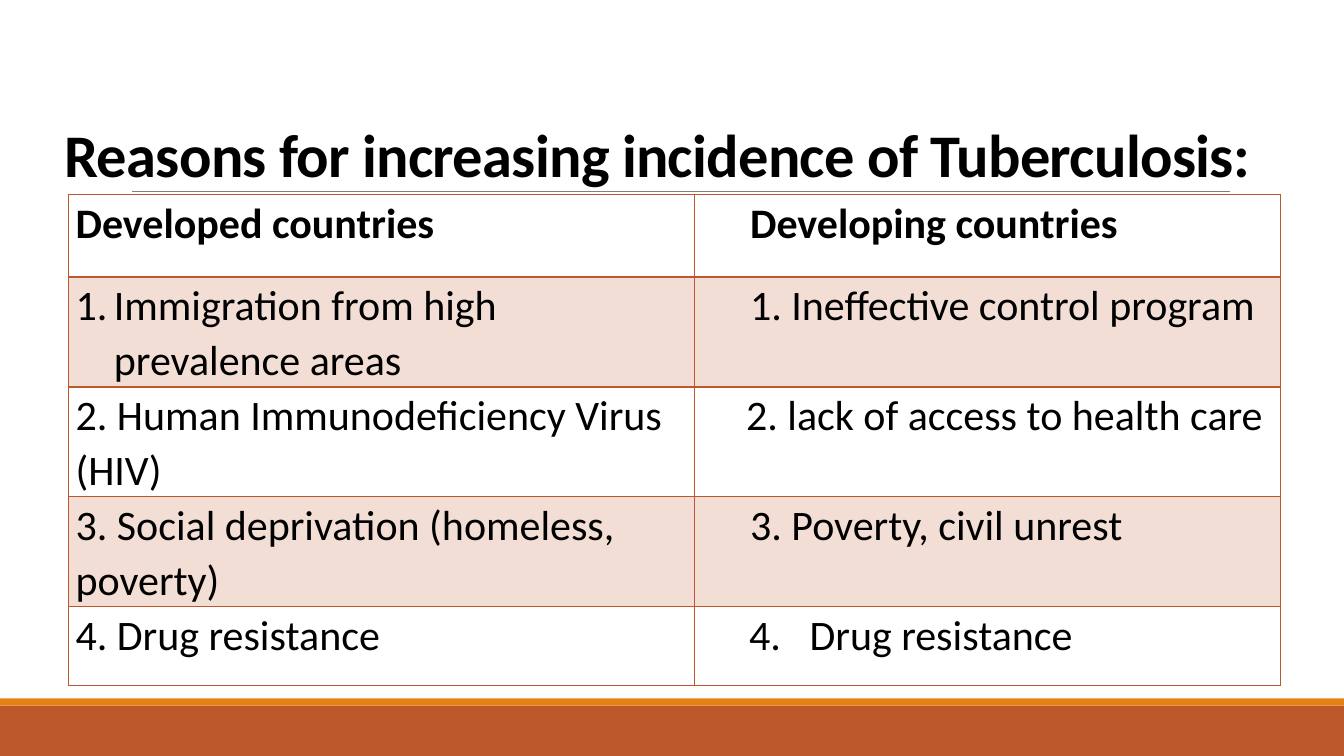
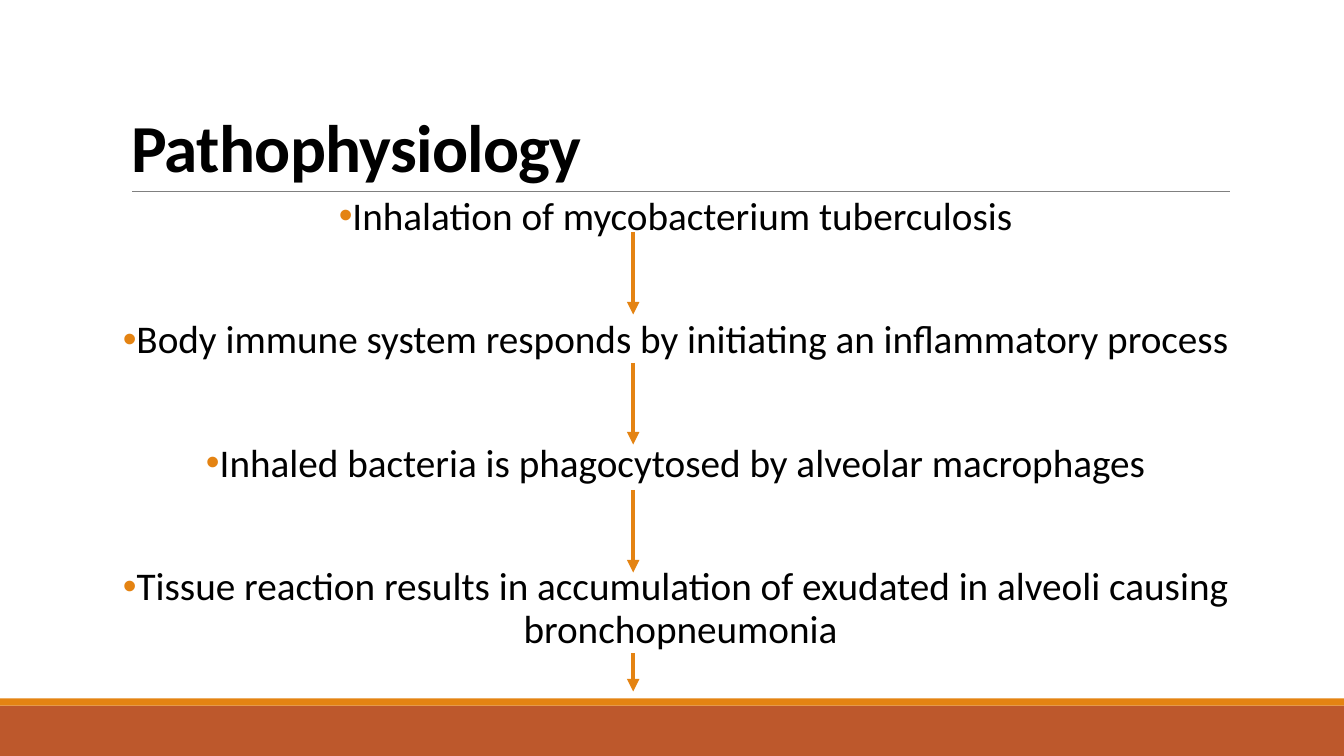
import dataclasses

import lxml.etree
import pptx
import pptx.dml.color
import pptx.enum.shapes
import pptx.enum.text
import pptx.oxml.ns
import pptx.util

Inches = pptx.util.Inches
Align = pptx.enum.text.PP_ALIGN
Anchor = pptx.enum.text.MSO_ANCHOR


@dataclasses.dataclass(frozen=True)
class Theme:
    """Colours, fonts and type sizes of the deck."""
    font: str = "Calibri"
    bullet_font: str = "Arial"
    ink: str = "000000"
    rust: str = "BD582C"
    orange: str = "E48312"
    blush: str = "F2DED5"
    rule: str = "808080"
    title: float = 48
    long_title: float = 43.2
    table: float = 30
    body: float = 28


THEME = Theme()

COUNTRY_ROWS = [
    ("Developed countries", "Developing countries"),
    ("Immigration from high prevalence areas", "1. Ineffective control program"),
    ("2. Human Immunodeficiency Virus (HIV)", "2. lack of access to health care"),
    ("3. Social deprivation (homeless, poverty)", "3. Poverty, civil unrest"),
    ("4. Drug resistance", "4.\tDrug resistance"),
]
CELL_INDENTS = {(1, 0): (0.38, -0.38), (2, 1): (0.44, 0), (4, 1): (1.07, -0.6)}
COLUMN_INDENTS = [(0, 0), (0.48, 0)]

DISEASE_STEPS = [
    "Inhalation of mycobacterium tuberculosis",
    "Body immune system responds by initiating an inflammatory process",
    "Inhaled bacteria is phagocytosed by alveolar macrophages",
    "Tissue reaction results in accumulation of exudated in alveoli causing bronchopneumonia",
]
ARROW_SPANS = [(0.4, 1.22), (1.7, 2.51), (2.96, 3.78), (4.58, 4.96)]


def colour(value):
    """Return the colour object of a hex value."""
    return pptx.dml.color.RGBColor.from_string(value)


def add_xml(parent, tag, **attributes):
    """Append a child element and return it."""
    return lxml.etree.SubElement(parent, pptx.oxml.ns.qn(tag), attributes)


def write_text(para, text, *, size, bold=False, align=Align.LEFT, line=1.0,
               before=0, after=0, indent=(0, 0), bullet=None, number=None, tracking=0):
    """Fill a paragraph with one formatted run."""
    para.alignment = align
    para.line_spacing = line
    para.space_before = pptx.util.Pt(before)
    para.space_after = pptx.util.Pt(after)
    properties = para._p.get_or_add_pPr()
    properties.set("marL", str(Inches(indent[0])))
    properties.set("indent", str(Inches(indent[1])))
    if bullet:
        add_xml(add_xml(properties, "a:buClr"), "a:srgbClr", val=THEME.orange)
        add_xml(properties, "a:buFont", typeface=THEME.bullet_font)
        add_xml(properties, "a:buChar", char=bullet)
    elif number:
        add_xml(properties, "a:buFont", typeface=THEME.font)
        add_xml(properties, "a:buAutoNum", type=number)
    span = para.add_run()
    span.text = text
    span.font.name = THEME.font
    span.font.size = pptx.util.Pt(size)
    span.font.bold = bold
    span.font.color.rgb = colour(THEME.ink)
    if tracking:
        span._r.get_or_add_rPr().set("spc", str(round(tracking * 100)))


def add_line(page, start, end, *, ink, width, arrow=False):
    """Draw a straight line, with an arrowhead at its end if asked."""
    line = page.shapes.add_connector(
        pptx.enum.shapes.MSO_CONNECTOR.STRAIGHT,
        *(Inches(length) for length in (*start, *end)))
    line.line.color.rgb = colour(ink)
    line.line.width = pptx.util.Pt(width)
    if arrow:
        add_xml(line.line._get_or_add_ln(), "a:tailEnd", type="triangle")
    add_xml(line._element.spPr, "a:effectLst")
    return line


def add_band(page, box, fill):
    """Draw a plain filled band."""
    band = page.shapes.add_shape(
        pptx.enum.shapes.MSO_SHAPE.RECTANGLE, *(Inches(length) for length in box))
    band.shadow.inherit = False
    band.fill.solid()
    band.fill.fore_color.rgb = colour(fill)
    band.line.fill.background()
    return band


def furnish_layout(layout, page):
    """Give the layout its footer bands and title rule, drawn by way of a page."""
    parts = [
        add_band(page, (0, 7, 13.33, 0.5), THEME.rust),
        add_band(page, (0, 6.93, 13.33, 0.07), THEME.orange),
        add_line(page, (1.31, 1.9), (12.2, 1.9), ink=THEME.rule, width=0.5),
    ]
    for part in parts:
        layout.shapes.element.append(part.element)


def place_title(page, box, text, **style):
    """Move the title placeholder to its box and set its text."""
    title = page.shapes.title
    title.left, title.top, title.width, title.height = (Inches(length) for length in box)
    frame = title.text_frame
    frame.auto_size = pptx.enum.text.MSO_AUTO_SIZE.NONE
    frame.vertical_anchor = Anchor.BOTTOM
    write_text(frame.paragraphs[0], text, bold=True, tracking=-0.5, **style)


def format_cell(cell, fill, top, bottom):
    """Set the margins, borders and fill of a table cell."""
    cell.margin_left = cell.margin_right = Inches(0.07)
    cell.margin_top = cell.margin_bottom = 0
    properties = cell._tc.get_or_add_tcPr()
    for side, width in (("L", 1), ("R", 1), ("T", top), ("B", bottom)):
        border = add_xml(properties, f"a:ln{side}", w=str(pptx.util.Pt(width)))
        add_xml(add_xml(border, "a:solidFill"), "a:srgbClr", val=THEME.rust)
    if fill:
        cell.fill.solid()
        cell.fill.fore_color.rgb = colour(fill)
    else:
        cell.fill.background()


def add_country_table(page, box, widths, heights):
    """Place the table that compares the two groups of countries."""
    table = page.shapes.add_table(
        len(heights), len(widths), *(Inches(length) for length in box)).table
    table.first_row = table.horz_banding = False
    for column, width in zip(table.columns, widths):
        column.width = Inches(width)
    for row, height in zip(table.rows, heights):
        row.height = Inches(height)
    for row, texts in enumerate(COUNTRY_ROWS):
        for column, text in enumerate(texts):
            cell = table.cell(row, column)
            format_cell(cell, THEME.blush if row % 2 else None,
                        top=2 if row == 1 else 1, bottom=2 if row == 0 else 1)
            numbered = (row, column) == (1, 0)
            write_text(cell.text_frame.paragraphs[0], text, size=THEME.table,
                       bold=row == 0, line=1.07, after=0 if numbered else 8,
                       indent=CELL_INDENTS.get((row, column), COLUMN_INDENTS[column]),
                       number="arabicPeriod" if numbered else None)


def add_step_flow(page, box):
    """Place the disease steps and the arrows that follow them."""
    left, top, width, height = box
    frame = page.shapes.add_textbox(*(Inches(length) for length in box)).text_frame
    frame.word_wrap = True
    frame.margin_left = frame.margin_right = 0
    for index, step in enumerate(DISEASE_STEPS):
        para = frame.add_paragraph() if index else frame.paragraphs[0]
        write_text(para, step, size=THEME.body, align=Align.CENTER, line=0.9,
                   before=58 if index else 0, indent=(0.1, -0.1), bullet="•")
    middle = left + 5.08
    for start, end in ARROW_SPANS:
        add_line(page, (middle, top + start), (middle, top + end),
                 ink=THEME.orange, width=3, arrow=True)


def build_reasons(page):
    """Build the slide on the reasons for rising incidence."""
    place_title(page, (0.54, 0.14, 12.61, 1.79),
                "Reasons for increasing incidence of Tuberculosis:",
                size=THEME.long_title, align=Align.JUSTIFY, line=1.07, after=8)
    add_country_table(page, (0.68, 1.93, 12.02, 4.87), (6.21, 5.81),
                      (0.82, 1.09, 1.09, 1.09, 0.78))


def build_pathophysiology(page):
    """Build the slide on the course of the disease."""
    place_title(page, (1.2, 0.31, 11, 1.59), "Pathophysiology",
                size=THEME.title, line=0.85)
    add_step_flow(page, (1.2, 1.9, 11, 5.29))


def main():
    """Build and save the deck."""
    deck = pptx.Presentation()
    deck.slide_width, deck.slide_height = Inches(13.33), Inches(7.5)
    layout = deck.slide_layouts.get_by_name("Title Only")
    pages = [deck.slides.add_slide(layout) for _ in range(2)]
    furnish_layout(layout, pages[0])
    for page, build in zip(pages, (build_reasons, build_pathophysiology)):
        build(page)
    deck.save("out.pptx")


if __name__ == "__main__":
    main()
